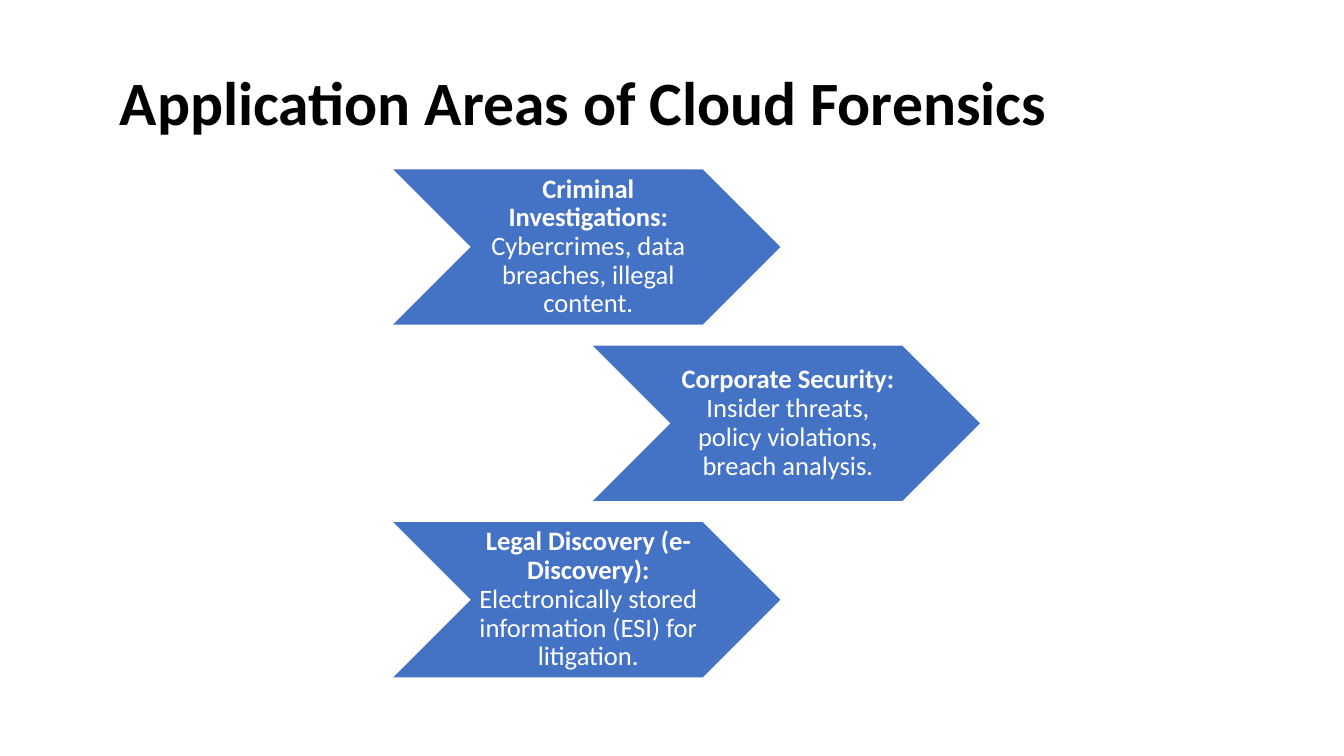
from pptx import Presentation
from pptx import util as u
from pptx.dml.color import RGBColor
from pptx.enum import shapes, text

AREAS = [
    ("Criminal Investigations:", " Cybercrimes, data breaches, illegal content."),
    ("Corporate Security:", " Insider threats, policy violations, breach analysis."),
    ("Legal Discovery (e-Discovery):", " Electronically stored information (ESI) for litigation."),
]


def rgb(value):
    return RGBColor.from_string(value)


def style(obj, values):
    for name, value in values.items():
        setattr(obj, name, value)


class Deck:
    font = "Calibri"
    accent = "4472C4"
    dark = "000000"
    light = "FFFFFF"

    def __init__(self):
        self.prs = Presentation()
        style(self.prs, {"slide_width": u.Inches(13.33), "slide_height": u.Inches(7.5)})
        self.s = self.prs.slides.add_slide(self.prs.slide_layouts[5])
        self.s.background.fill.solid()
        self.s.background.fill.fore_color.rgb = rgb(self.light)

    def add_text(self, tf, runs, size, color, align, insets):
        margins = ("margin_left", "margin_top", "margin_right", "margin_bottom")
        style(tf, {"word_wrap": True, "auto_size": text.MSO_AUTO_SIZE.NONE,
                   "vertical_anchor": text.MSO_ANCHOR.MIDDLE})
        style(tf, {m: u.Inches(v) for m, v in zip(margins, insets)})
        p = tf.paragraphs[0]
        style(p, {"alignment": align, "line_spacing": 0.9, "space_before": u.Pt(0)})
        for words, bold in runs:
            r = p.add_run()
            r.text = words
            style(r.font, {"name": self.font, "size": u.Pt(size), "bold": bold})
            r.font.color.rgb = rgb(color)

    def title(self, words, x, y, w, h):
        sp = self.s.shapes.title
        style(sp, {"left": u.Inches(x), "top": u.Inches(y),
                   "width": u.Inches(w), "height": u.Inches(h)})
        self.add_text(sp.text_frame, [(words, True)], 44, self.dark,
                      text.PP_ALIGN.LEFT, (0.1, 0.05, 0.1, 0.05))

    def chevron(self, heading, detail, x, y, w, h):
        sp = self.s.shapes.add_shape(shapes.MSO_SHAPE.CHEVRON, u.Inches(x), u.Inches(y),
                                     u.Inches(w), u.Inches(h))
        sp.shadow.inherit = False
        sp.fill.solid()
        sp.fill.fore_color.rgb = rgb(self.accent)
        sp.line.fill.background()
        self.add_text(sp.text_frame, [(heading, True), (detail, False)], 19, self.light,
                      text.PP_ALIGN.CENTER, (0.03, 0.01, 0, 0.01))


def main():
    deck = Deck()
    deck.title("Application Areas of Cloud Forensics", 1.09, 0.53, 11.5, 1.04)
    for i, (heading, detail) in enumerate(AREAS):
        deck.chevron(heading, detail, 3.9 + i % 2 * 1.98, 1.68 + i * 1.75, 3.84, 1.54)
    deck.prs.save("out.pptx")


if __name__ == "__main__":
    main()
